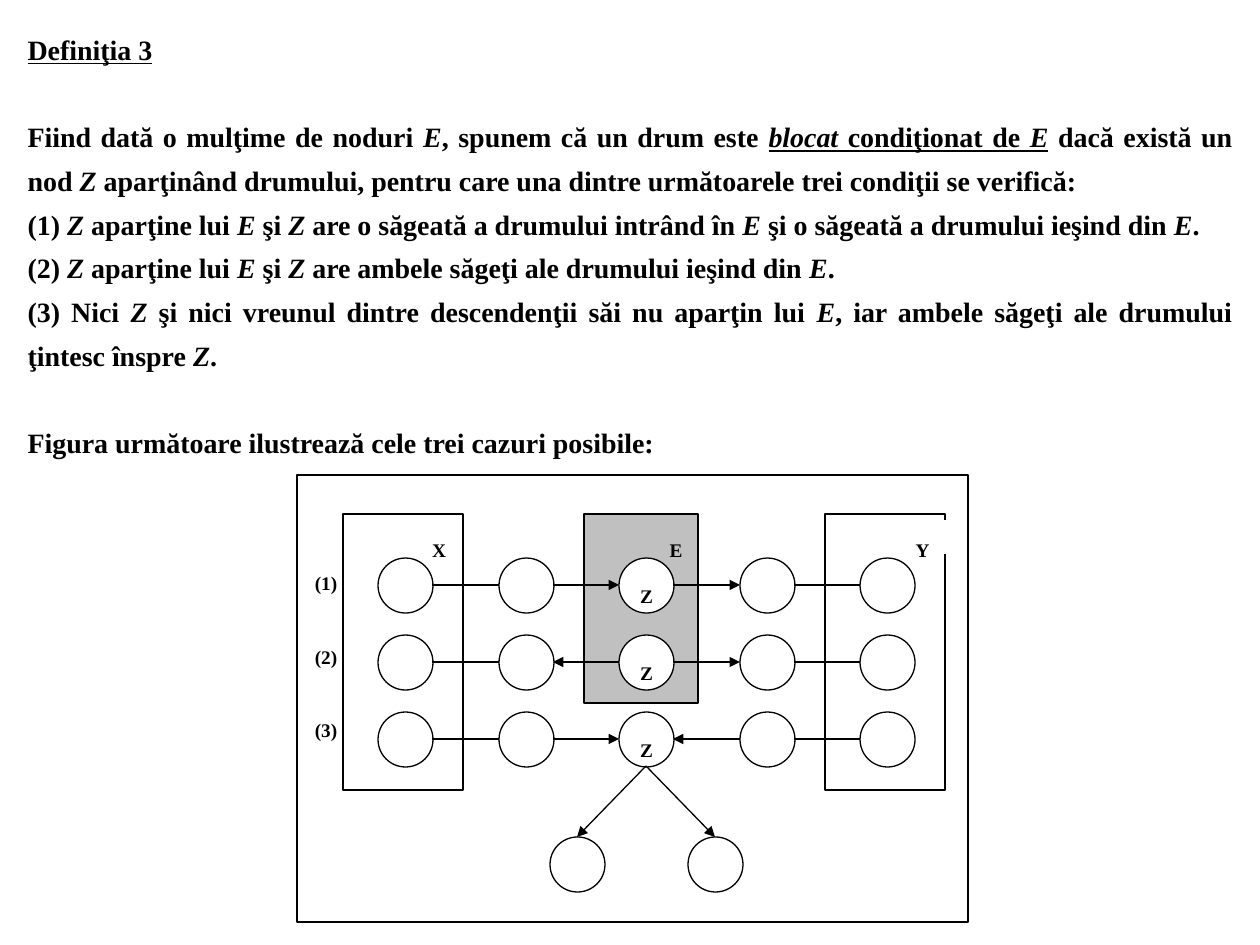
from lxml.etree import SubElement
from pptx import Presentation
from pptx.dml.color import RGBColor
from pptx.enum.shapes import MSO_CONNECTOR, MSO_SHAPE
from pptx.enum.text import MSO_ANCHOR, MSO_AUTO_SIZE, PP_ALIGN
from pptx.oxml.ns import qn
from pptx.util import Inches, Pt

BLACK = RGBColor(0x00, 0x00, 0x00)
WHITE = RGBColor(0xFF, 0xFF, 0xFF)
GREY = RGBColor(0xC0, 0xC0, 0xC0)
FONT = "Times New Roman"
DIAMETER = 55
RADIUS = DIAMETER // 2
COLUMNS = [405 + (241 * i + 1) // 2 for i in range(5)]
ROWS = [585 + 77 * i for i in range(3)]
CHILDREN_X = (577, 715)
CHILDREN_Y = 864

BODY = [
    ("_Definiţia 3_", 0),
    ("Fiind dată o mulţime de noduri *E*, spunem că un drum este "
     "_*blocat* condiţionat de *E*_ dacă există un nod *Z *aparţinând drumului, "
     "pentru care una dintre următoarele trei condiţii se verifică:", 25),
    ("(1) *Z *aparţine lui *E *şi *Z *are o săgeată a drumului intrând în *E* "
     "şi o săgeată a drumului ieşind din *E*.", 0),
    ("(2) *Z *aparţine lui *E *şi *Z *are ambele săgeţi ale drumului "
     "ieşind din *E*.", 0),
    ("(3) Nici *Z *şi nici vreunul dintre descendenţii săi nu aparţin lui *E*, "
     "iar ambele săgeţi ale drumului ţintesc înspre *Z*.", 0),
    ("Figura următoare ilustrează cele trei cazuri posibile:", 25),
]
LINKS = [
    [(0, 1, False), (1, 2, True), (2, 3, True), (4, 3, False)],
    [(0, 1, False), (2, 1, True), (2, 3, True), (4, 3, False)],
    [(0, 1, False), (1, 2, True), (3, 2, True), (4, 3, False)],
]


def px(n):
    """Turn pixels into EMU."""
    return round(n * 914400 / 126)


def format_paragraph(p, size, align, spacing=1.0, before=0):
    """Set the paragraph layout and its bold black font."""
    p.alignment, p.line_spacing = align, spacing
    p.space_before, p.space_after = Pt(before), Pt(0)
    p.font.name, p.font.size, p.font.bold = FONT, Pt(size), True
    p.font.color.rgb = BLACK


def add_marked_runs(p, text):
    """Add runs, with _ around underlined and * around italic parts."""
    for i, part in enumerate(text.split("_")):
        for j, piece in enumerate(part.split("*")):
            if piece:
                r = p.add_run()
                r.text = piece
                if i % 2:
                    r.font.underline = True
                if j % 2:
                    r.font.italic = True


def fill_body(sp):
    """Place the definition in the body placeholder."""
    sp.left, sp.top, sp.width, sp.height = px(15), px(16), px(1230), px(912)
    tf = sp.text_frame
    tf.word_wrap, tf.auto_size = True, MSO_AUTO_SIZE.NONE
    tf.vertical_anchor = MSO_ANCHOR.TOP
    for i, (text, before) in enumerate(BODY):
        p = tf.add_paragraph() if i else tf.paragraphs[0]
        format_paragraph(p, 16, PP_ALIGN.JUSTIFY, 1.3, before)
        add_marked_runs(p, text)


def set_label(sp, lines, top=7, spacing=1.5, before=0):
    """Write centred lines below the given top inset."""
    tf = sp.text_frame
    tf.word_wrap, tf.vertical_anchor = True, MSO_ANCHOR.TOP
    tf.margin_left = tf.margin_right = tf.margin_bottom = 0
    tf.margin_top = px(top)
    for i, line in enumerate(lines):
        p = tf.add_paragraph() if i else tf.paragraphs[0]
        p.text = line
        format_paragraph(p, 11, PP_ALIGN.CENTER, spacing, before if i else 0)


def add_box(shapes, x, y, w, h, fill=WHITE, kind=MSO_SHAPE.RECTANGLE,
            outlined=True, label=None):
    """Add a filled shape with an optional outline and label."""
    sp = shapes.add_shape(kind, px(x), px(y), px(w), px(h))
    sp.shadow.inherit = False
    sp.fill.solid()
    sp.fill.fore_color.rgb = fill
    if outlined:
        sp.line.color.rgb, sp.line.width = BLACK, Pt(0.75)
    else:
        sp.line.fill.background()
    if label:
        set_label(sp, [label])


def add_text(shapes, x, y, w, h, lines, **layout):
    """Add a plain text box of centred lines."""
    sp = shapes.add_textbox(px(x), px(y), px(w), px(h))
    set_label(sp, lines, **layout)


def add_node(shapes, x, y, label=None):
    """Add a graph node centred at a point."""
    add_box(shapes, x - RADIUS, y - RADIUS, DIAMETER, DIAMETER,
            kind=MSO_SHAPE.FLOWCHART_CONNECTOR, label=label)


def add_link(shapes, x1, y1, x2, y2, arrow):
    """Add a straight link, with an arrowhead at its end if asked."""
    s = shapes.add_connector(MSO_CONNECTOR.STRAIGHT,
                             px(x1), px(y1), px(x2), px(y2))
    s.line.color.rgb, s.line.width = BLACK, Pt(0.75)
    if arrow:
        SubElement(s.line._get_or_add_ln(), qn("a:tailEnd"), type="triangle")
    SubElement(s._element.spPr, qn("a:effectLst"))


def add_sets(shapes):
    """Add the frame, the sets X, E and Y and the case numbers."""
    add_box(shapes, 297, 475, 671, 447)
    add_box(shapes, 343, 514, 120, 276)
    add_box(shapes, 584, 514, 114, 189, GREY)
    add_box(shapes, 825, 514, 120, 276)
    add_box(shapes, 416, 520, 46, 34, outlined=False, label="X")
    add_text(shapes, 655, 520, 42, 34, ["E"])
    add_box(shapes, 899, 520, 47, 34, outlined=False, label="Y")
    add_text(shapes, 291, 514, 70, 258, ["(1)", "(2)", "(3)"],
             top=57, spacing=1.0, before=29)


def add_paths(shapes):
    """Add the three paths and the descendants of the last Z."""
    for y, links in zip(ROWS, LINKS):
        for i, x in enumerate(COLUMNS):
            add_node(shapes, x, y, "Z" if i == 2 else None)
        for start, end, arrow in links:
            step = RADIUS if end > start else -RADIUS
            add_link(shapes, COLUMNS[start] + step, y,
                     COLUMNS[end] - step, y, arrow)
    for x in CHILDREN_X:
        add_node(shapes, x, CHILDREN_Y)
        add_link(shapes, COLUMNS[2], ROWS[2] + RADIUS,
                 x, CHILDREN_Y - RADIUS, True)


def main():
    """Build and save the slide."""
    prs = Presentation()
    prs.slide_width, prs.slide_height = Inches(10), Inches(7.5)
    s = prs.slides.add_slide(prs.slide_layouts[0])
    title = s.shapes.title._element
    title.getparent().remove(title)
    fill_body(s.placeholders[1])
    figure = s.shapes.add_group_shape().shapes
    add_sets(figure)
    add_paths(figure)
    prs.save("out.pptx")


if __name__ == "__main__":
    main()
